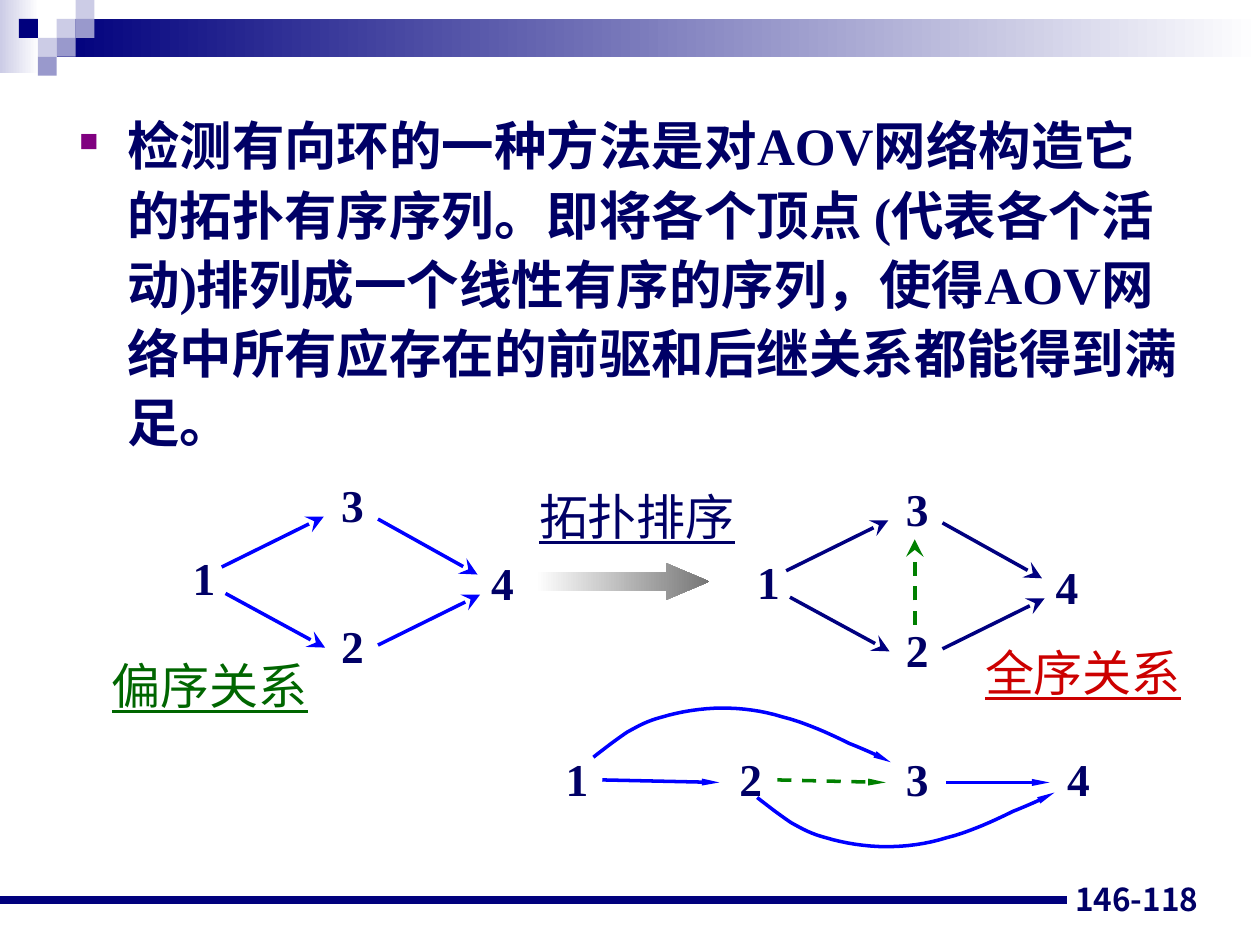
from dataclasses import dataclass

from lxml.etree import SubElement
from pptx import Presentation
from pptx.dml.color import RGBColor
from pptx.enum.dml import MSO_LINE
from pptx.enum.shapes import MSO_CONNECTOR, MSO_SHAPE
from pptx.enum.text import MSO_ANCHOR, PP_ALIGN
from pptx.oxml.ns import qn
from pptx.util import Inches, Pt


@dataclass(frozen=True)
class Theme:
    text: str = "000066"
    band: str = "00007D"
    light: str = "CCCCE6"
    medium: str = "9999CC"
    white: str = "FFFFFF"
    gray: str = "767676"
    bullet: str = "800080"
    blue: str = "0000FF"
    navy: str = "000080"
    green: str = "008000"
    dark_green: str = "006600"
    red: str = "CC0000"
    serif: str = "Times New Roman"
    sans: str = "Noto Sans CJK JP"
    body_size: int = 30
    label_size: int = 28
    node_size: int = 26
    number_size: int = 18
    edge_width: int = 2
    rule_width: float = 4.5


THEME = Theme()


def color(value):
    return RGBColor.from_string(value)


# Basic parts
def add_box(slide, left, top, width, height, fill, end=None, kind=MSO_SHAPE.RECTANGLE):
    shape = slide.shapes.add_shape(
        kind, Inches(left), Inches(top), Inches(width), Inches(height))
    shape.shadow.inherit = False
    shape.line.fill.background()
    if end is None:
        shape.fill.solid()
        shape.fill.fore_color.rgb = color(fill)
    else:
        shape.fill.gradient()
        shape.fill.gradient_angle = 0
        for stop, value, position in zip(shape.fill.gradient_stops, (fill, end), (0, 1)):
            stop.color.rgb = color(value)
            stop.position = position
    return shape


def add_text(slide, box, text, size, fill=THEME.text, font=THEME.serif,
             bold=False, underline=False, wrap=False):
    shape = slide.shapes.add_textbox(*(Inches(value) for value in box))
    frame = shape.text_frame
    frame.word_wrap = wrap
    frame.text = text
    run = frame.paragraphs[0].runs[0]
    run.font.name = font
    run.font.size = Pt(size)
    run.font.bold = bold
    run.font.underline = underline
    run.font.color.rgb = color(fill)
    SubElement(run.font._element, qn("a:ea"), typeface=THEME.sans)
    return frame


def style_edge(shape, stroke, head, head_width, dashed=False):
    shape.line.color.rgb = color(stroke)
    shape.line.width = Pt(THEME.edge_width)
    if dashed:
        shape.line.dash_style = MSO_LINE.DASH
    SubElement(shape.line._get_or_add_ln(), qn("a:tailEnd"),
               type=head, w=head_width, len="lg")


def add_line(slide, start, end):
    connector = slide.shapes.add_connector(
        MSO_CONNECTOR.STRAIGHT, *(Inches(value) for value in (*start, *end)))
    return connector


def finish_effects(connector):
    SubElement(connector._element.spPr, qn("a:effectLst"))


def add_edge(slide, origin, edge, stroke, head, head_width, dashed=False):
    left, top = origin
    x1, y1, x2, y2 = edge
    connector = add_line(slide, (left + x1, top + y1), (left + x2, top + y2))
    style_edge(connector, stroke, head, head_width, dashed)
    finish_effects(connector)


def add_node(slide, origin, offset, name):
    box = (origin[0] + offset[0], origin[1] + offset[1], 0.38, 0.53)
    add_text(slide, box, name, THEME.node_size, bold=True)


# Header squares and gradient band
def add_header(slide, left, top):
    add_box(slide, left, top, 0.31, 0.58, THEME.light, THEME.white)
    add_box(slide, left + 0.45, top + 0.15, 9.55, 0.3, THEME.band, THEME.white)
    cell = 0.15
    squares = [(3, 1, THEME.light), (4, 0, THEME.light), (4, 1, THEME.medium),
               (2, 2, THEME.light), (1, 1, THEME.band), (3, 2, THEME.medium),
               (2, 3, THEME.medium)]
    for column, row, fill in squares:
        add_box(slide, left + column * cell, top + row * cell, cell, cell, fill)


# Footer rule and page number
def add_footer(slide, left, top):
    rule = add_line(slide, (left, top), (left + 8.47, top))
    rule.line.color.rgb = color(THEME.band)
    rule.line.width = Pt(THEME.rule_width)
    finish_effects(rule)
    frame = add_text(slide, (left + 7.28, top - 0.31, 2.33, 0.5), "146-118",
                     THEME.number_size, font=THEME.sans, bold=True, wrap=True)
    frame.vertical_anchor = MSO_ANCHOR.BOTTOM
    frame.paragraphs[0].alignment = PP_ALIGN.RIGHT


# Bulleted body text
def add_body(slide, box):
    text = ("检测有向环的一种方法是对AOV网络构造它的拓扑有序序列。"
            "即将各个顶点 (代表各个活动)排列成一个线性有序的序列，"
            "使得AOV网络中所有应存在的前驱和后继关系都能得到满足。")
    frame = add_text(slide, box, text, THEME.body_size, bold=True, wrap=True)
    paragraph = frame.paragraphs[0]
    paragraph.line_spacing = 1.1
    properties = paragraph._p.get_or_add_pPr()
    properties.set("marL", str(Inches(0.38)))
    properties.set("indent", str(-Inches(0.38)))
    bullet_color = SubElement(properties, qn("a:buClr"))
    SubElement(bullet_color, qn("a:srgbClr"), val=THEME.bullet)
    SubElement(properties, qn("a:buSzPct"), val="50000")
    SubElement(properties, qn("a:buChar"), char="■")


# Diamond graph of four vertices
def add_diamond(slide, origin, stroke, ordered=False):
    edges = [(0.33, 0.18, 1.14, -0.22), (0.36, 0.39, 1.15, 0.82),
             (1.57, 0.8, 2.38, 0.4), (1.57, -0.2, 2.36, 0.24)]
    for edge in edges:
        add_edge(slide, origin, edge, stroke, "stealth", "lg")
    if ordered:
        add_edge(slide, origin, (1.35, 0.61, 1.35, -0.07), THEME.green,
                 "stealth", "lg", dashed=True)
    nodes = [(0, 0), (1.18, 0.54), (1.18, -0.58), (2.37, 0.04)]
    for number, offset in enumerate(nodes, 1):
        add_node(slide, origin, offset, str(number))


def bezier_points(controls, steps=8):
    points = [controls[0]]
    for first in range(0, len(controls) - 1, 3):
        segment = controls[first:first + 4]
        for step in range(1, steps + 1):
            t = step / steps
            weights = ((1 - t) ** 3, 3 * t * (1 - t) ** 2, 3 * t * t * (1 - t), t ** 3)
            points.append(tuple(sum(weight * point[axis] for weight, point
                                    in zip(weights, segment)) for axis in (0, 1)))
    return points


def add_arc(slide, start, direction):
    # Offsets from the start; direction is -1 for upward, 1 for downward
    controls = [(0, 0), (0.09, 0.07), (0.18, 0.14), (0.27, 0.2),
                (0.36, 0.25), (0.43, 0.29), (0.55, 0.32),
                (0.68, 0.36), (0.86, 0.39), (1.02, 0.39),
                (1.18, 0.39), (1.34, 0.37), (1.5, 0.32),
                (1.67, 0.28), (1.89, 0.18), (2.03, 0.11),
                (2.18, 0.05), (2.31, -0.01), (2.36, -0.04)]
    points = [(Inches(start[0] + x), Inches(start[1] + direction * y))
              for x, y in bezier_points(controls)]
    builder = slide.shapes.build_freeform(*points[0])
    builder.add_line_segments(points[1:], close=False)
    arc = builder.convert_to_shape()
    arc.shadow.inherit = False
    arc.fill.background()
    style_edge(arc, THEME.blue, "triangle", "sm")


# Linear sequence with arcs that skip one vertex
def add_sequence(slide, origin):
    left, top = origin
    add_arc(slide, (left + 0.32, top + 0.1), -1)
    add_arc(slide, (left + 1.62, top + 0.42), 1)
    edges = [(0.39, 0.28, 1.32, 0.3), (1.78, 0.28, 2.64, 0.3), (3.12, 0.3, 3.94, 0.3)]
    for number, edge in enumerate(edges, 1):
        dashed = number == 2
        add_edge(slide, origin, edge, THEME.green if dashed else THEME.blue,
                 "triangle", "sm", dashed)
    for number, x in enumerate((0, 1.38, 2.7, 3.98), 1):
        add_node(slide, origin, (x, 0), str(number))


# Captions and the block arrow
def add_captions(slide):
    captions = [("拓扑排序", 4.18, 3.81, THEME.text),
                ("偏序关系", 0.79, 5.15, THEME.dark_green),
                ("全序关系", 7.72, 5.05, THEME.red)]
    for text, left, top, fill in captions:
        add_text(slide, (left, top, 1.76, 0.57), text, THEME.label_size, fill,
                 underline=True)
    arrow = add_box(slide, 4.25, 4.47, 1.38, 0.29, THEME.white, THEME.gray,
                    MSO_SHAPE.RIGHT_ARROW)
    arrow.adjustments[0] = 0.5
    arrow.adjustments[1] = 1.18


def main():
    presentation = Presentation()
    presentation.slide_width = Inches(10)
    presentation.slide_height = Inches(7.5)
    slide = presentation.slides.add_slide(presentation.slide_layouts[6])
    add_header(slide, 0, 0)
    add_footer(slide, 0, 7.14)
    add_body(slide, (0.53, 0.8, 8.92, 3.14))
    add_diamond(slide, (1.43, 4.32), THEME.blue)
    add_diamond(slide, (5.91, 4.35), THEME.navy, ordered=True)
    add_sequence(slide, (4.39, 5.91))
    add_captions(slide)
    presentation.save("out.pptx")


if __name__ == "__main__":
    main()
